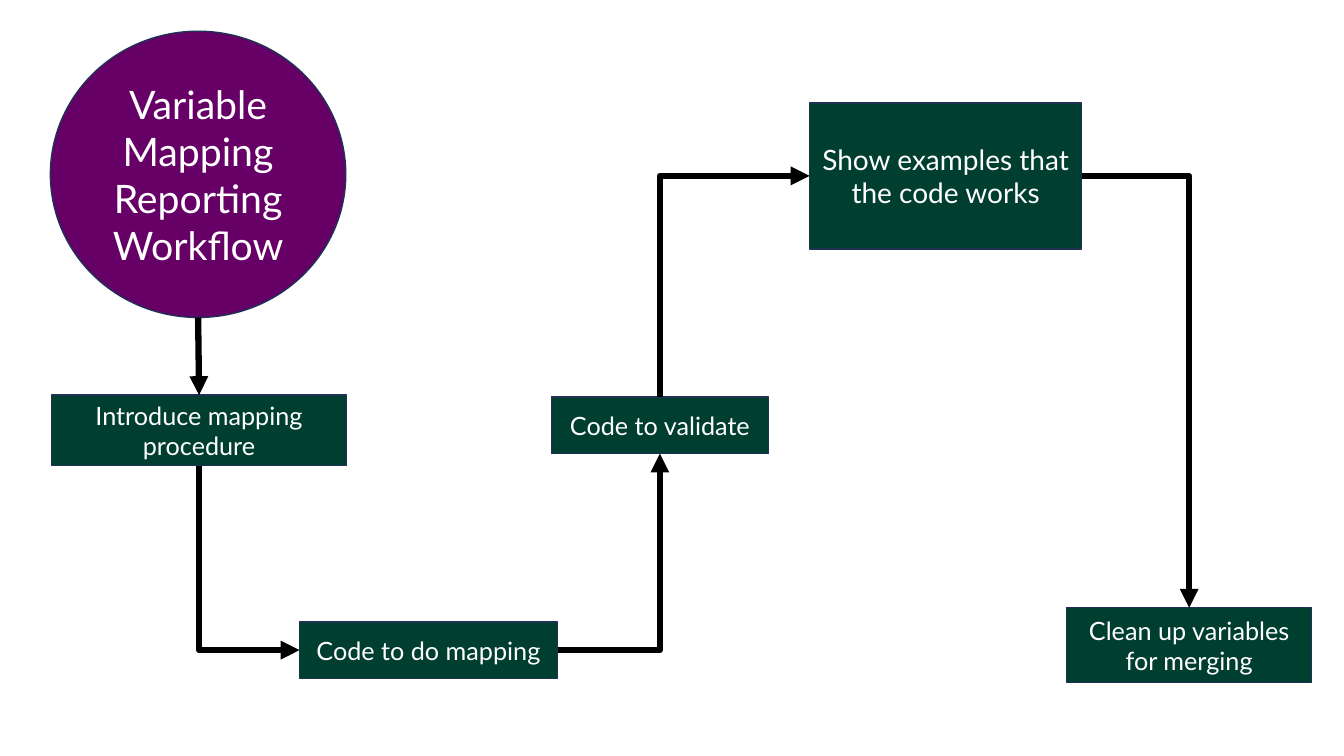
from lxml import etree
from pptx import Presentation
from pptx.dml.color import RGBColor
from pptx.enum.shapes import MSO_CONNECTOR, MSO_SHAPE
from pptx.enum.text import MSO_ANCHOR, PP_ALIGN
from pptx.oxml.ns import qn
from pptx.util import Pt

PX = 9144
RECTANGLE, ELLIPSE = MSO_SHAPE.RECTANGLE, MSO_SHAPE.OVAL
STRAIGHT, ELBOW = MSO_CONNECTOR.STRAIGHT, MSO_CONNECTOR.ELBOW
MIDDLE, CENTER = MSO_ANCHOR.MIDDLE, PP_ALIGN.CENTER
TOP, LEFT, BOTTOM, RIGHT = range(4)
ELLIPSE_BOTTOM = 4
GREEN, PURPLE, NAVY = "003E2F", "660066", "1E3256"
WHITE, BLACK = "FFFFFF", "000000"


def paint(color_format, color):
    color_format.rgb = RGBColor.from_string(color)


deck = Presentation()
deck.slide_width, deck.slide_height = 1333 * PX, 750 * PX
page = deck.slides.add_slide(deck.slide_layouts[6])

steps = [
    ("introduce", RECTANGLE, GREEN, 18, (51, 392, 293, 70), "Introduce mapping procedure"),
    ("mapping", RECTANGLE, GREEN, 18, (297, 617, 256, 56), "Code to do mapping"),
    ("examples", RECTANGLE, GREEN, 20, (803, 102, 270, 145), "Show examples that the code works"),
    ("validate", RECTANGLE, GREEN, 18, (547, 394, 215, 56), "Code to validate"),
    ("cleanup", RECTANGLE, GREEN, 18, (1058, 603, 243, 74), "Clean up variables for merging"),
    ("workflow", ELLIPSE, PURPLE, 28, (50, 31, 293, 284), "Variable Mapping Reporting Workflow"),
]
boxes = {}
for name, outline, color, size, place, text in steps:
    box = page.shapes.add_shape(outline, *(length * PX for length in place))
    box.shadow.inherit = False
    box.fill.solid()
    paint(box.fill.fore_color, color)
    paint(box.line.color, NAVY)
    box.line.width = Pt(1)
    box.text_frame.word_wrap = True
    box.text_frame.vertical_anchor = MIDDLE
    para = box.text_frame.paragraphs[0]
    para.alignment = CENTER
    span = para.add_run()
    span.text = text
    span.font.name = "Lato"
    span.font.size = Pt(size)
    paint(span.font.color, WHITE)
    boxes[name] = box

arrows = [
    (STRAIGHT, "workflow", BOTTOM, "introduce", TOP),
    (ELBOW, "introduce", BOTTOM, "mapping", LEFT),
    (ELBOW, "mapping", RIGHT, "validate", BOTTOM),
    (ELBOW, "validate", TOP, "examples", LEFT),
    (ELBOW, "examples", RIGHT, "cleanup", TOP),
]
for kind, source, exit_side, target, entry_side in arrows:
    arrow = page.shapes.add_connector(kind, 0, 0, 0, 0)
    arrow.begin_connect(boxes[source], exit_side)
    arrow.end_connect(boxes[target], entry_side)
    paint(arrow.line.color, BLACK)
    arrow.line.width = Pt(4.5)
    properties = arrow._element.spPr
    line = properties.find(qn("a:ln"))
    etree.SubElement(line, qn("a:tailEnd"), type="triangle")
    etree.SubElement(properties, qn("a:effectLst"))
    if source == "workflow":
        start = next(arrow._element.iter(qn("a:stCxn")))
        start.set("idx", str(ELLIPSE_BOTTOM))
    if kind == ELBOW:
        properties.find(qn("a:prstGeom")).set("prst", "bentConnector2")
        if exit_side in (TOP, BOTTOM):
            width, height = arrow.width, arrow.height
            arrow.left += (width - height) // 2
            arrow.top += (height - width) // 2
            arrow.width, arrow.height = height, width
            frame = properties.find(qn("a:xfrm"))
            frame.set("flipH", "1")
            frame.set("rot", "5400000" if exit_side == TOP else "16200000")

deck.save("out.pptx")
